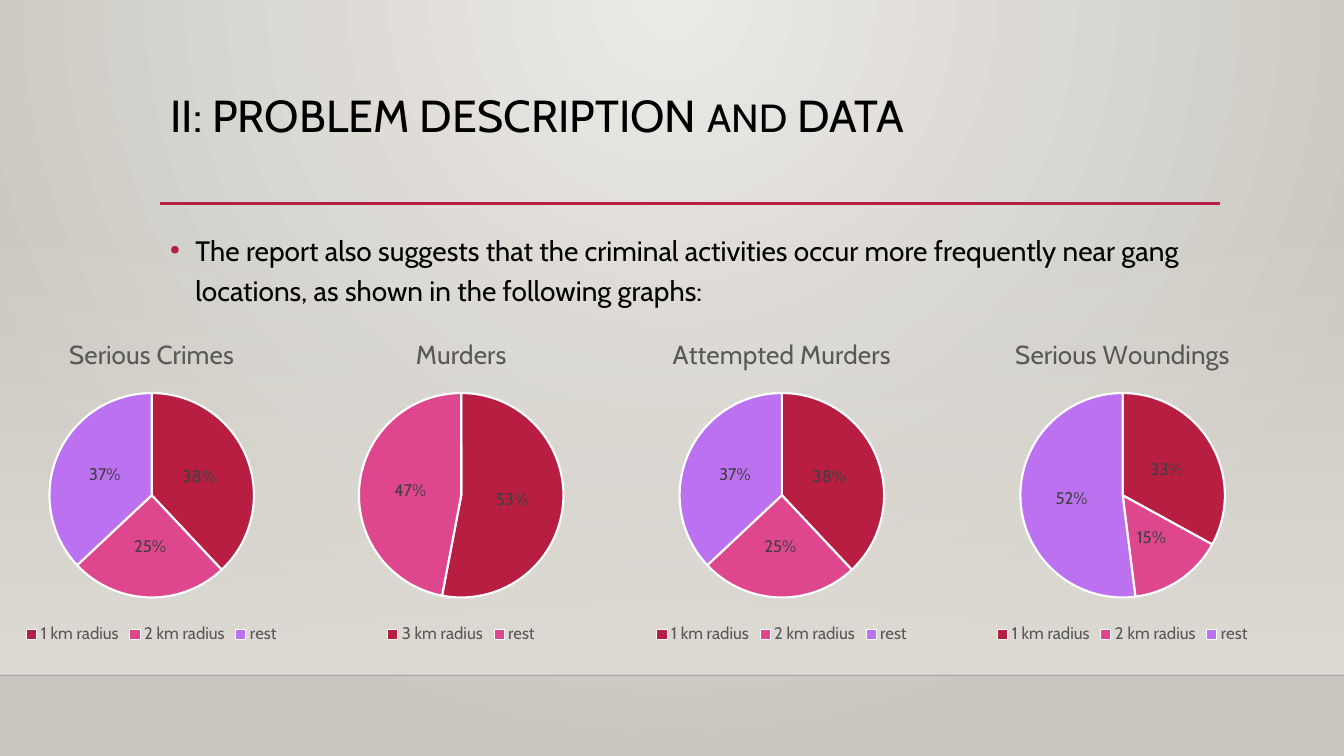
from lxml.etree import SubElement
from pptx import Presentation
from pptx.chart.data import CategoryChartData
from pptx.dml.color import RGBColor
from pptx.enum.chart import XL_CHART_TYPE as ChartType
from pptx.enum.chart import XL_LABEL_POSITION as LabelPosition
from pptx.enum.chart import XL_LEGEND_POSITION as LegendPosition
from pptx.enum.shapes import MSO_CONNECTOR as Connector
from pptx.enum.shapes import MSO_SHAPE as Shape
from pptx.enum.text import MSO_ANCHOR as Anchor
from pptx.oxml import parse_xml
from pptx.oxml.ns import nsdecls, qn
from pptx.util import Inches, Pt

BLACK = RGBColor(0x00, 0x00, 0x00)
WHITE = RGBColor(0xFF, 0xFF, 0xFF)
CRIMSON = RGBColor(0xB7, 0x1E, 0x42)
PINK = RGBColor(0xDE, 0x47, 0x8E)
VIOLET = RGBColor(0xBC, 0x72, 0xF0)
SAND = RGBColor(0xDF, 0xDB, 0xD5)
STONE_LIGHT = RGBColor(0xEC, 0xEA, 0xE7)
STONE_DARK = RGBColor(0xCA, 0xC7, 0xC1)
TITLE_GRAY = RGBColor(0x59, 0x59, 0x59)
LABEL_GRAY = RGBColor(0x40, 0x40, 0x40)

SLIDE_WIDTH, SLIDE_HEIGHT = 13.33, 7.5
MARGIN_LEFT, CONTENT_WIDTH = 1.59, 10.5
FLOOR_TOP = 6.7
CHART_TOP, CHART_WIDTH, CHART_HEIGHT = 3.17, 4.83, 3.26
SLICE_COLORS = (CRIMSON, PINK, VIOLET)
RADII = ("1 km radius", "2 km radius", "rest")
PIES = (
    (-0.91, "Serious Crimes", RADII, (38, 25, 37)),
    (2.16, "Murders", ("3 km radius", "rest"), (53, 47)),
    (5.34, "Attempted Murders", RADII, (38, 25, 37)),
    (8.72, "Serious Woundings", RADII, (33, 15, 52)),
)


class SlideBuilder:
    font_name = "Cabin"

    def __init__(self, slide):
        self.slide = slide

    def set_font(self, font, size, color):
        font.name = self.font_name
        font.size = Pt(size)
        font.color.rgb = color
        font.bold = False

    def set_alpha(self, fill_element, percent):
        color = fill_element.find(".//" + qn("a:srgbClr"))
        SubElement(color, qn("a:alpha")).set("val", str(percent * 1000))

    def radial_background(self, inner, outer):
        background = parse_xml(
            f'<p:bg {nsdecls("p", "a")}><p:bgPr><a:gradFill rotWithShape="1"><a:gsLst>'
            f'<a:gs pos="0"><a:srgbClr val="{inner}"/></a:gs>'
            f'<a:gs pos="100000"><a:srgbClr val="{outer}"/></a:gs></a:gsLst>'
            '<a:path path="circle"><a:fillToRect l="43000" t="0" r="43000" b="100000"/></a:path>'
            "</a:gradFill><a:effectLst/></p:bgPr></p:bg>"
        )
        self.slide.element.cSld.insert(0, background)

    def fading_wall(self, left, top, width, height, color):
        wall = self.slide.shapes.add_shape(
            Shape.RECTANGLE, Inches(left), Inches(top), Inches(width), Inches(height)
        )
        wall.shadow.inherit = False
        wall.line.fill.background()
        wall.fill.gradient()
        wall.fill.gradient_angle = 270
        for stop, position in zip(wall.fill.gradient_stops, (0, 1)):
            stop.color.rgb = color
            stop.position = position
        self.set_alpha(wall.element.spPr.find(qn("a:gradFill")), 0)

    def rule(self, left, right, y, color, width, alpha=100):
        line = self.slide.shapes.add_connector(
            Connector.STRAIGHT, Inches(left), Inches(y), Inches(right), Inches(y)
        )
        line.line.color.rgb = color
        line.line.width = Pt(width)
        properties = line.element.spPr
        if alpha < 100:
            self.set_alpha(properties.find(qn("a:ln")), alpha)
        SubElement(properties, qn("a:effectLst"))

    def text(self, left, top, width, height, parts, line_spacing):
        box = self.slide.shapes.add_textbox(
            Inches(left), Inches(top), Inches(width), Inches(height)
        )
        box.text_frame.word_wrap = True
        box.text_frame.vertical_anchor = Anchor.TOP
        paragraph = box.text_frame.paragraphs[0]
        paragraph.line_spacing = line_spacing
        for content, size in parts:
            run = paragraph.add_run()
            run.text = content
            self.set_font(run.font, size, BLACK)
        return paragraph

    def bullet(self, paragraph, color):
        paragraph.space_before = Pt(10)
        properties = paragraph._p.get_or_add_pPr()
        properties.set("marL", str(Inches(0.25)))
        properties.set("indent", str(-Inches(0.25)))
        bullet_color = SubElement(properties, qn("a:buClr"))
        SubElement(bullet_color, qn("a:srgbClr")).set("val", str(color))
        SubElement(properties, qn("a:buFont")).set("typeface", "Arial")
        SubElement(properties, qn("a:buChar")).set("char", "•")

    def place(self, parent, **fractions):
        layout = parent.find(qn("c:layout"))
        if layout is None:
            layout = parse_xml(f'<c:layout {nsdecls("c")}/>')
            parent.insert(0, layout)
        manual = SubElement(layout, qn("c:manualLayout"))
        SubElement(manual, qn("c:layoutTarget")).set("val", "inner")
        for axis in ("xMode", "yMode"):
            SubElement(manual, qn("c:" + axis)).set("val", "edge")
        for name, fraction in fractions.items():
            SubElement(manual, qn("c:" + name)).set("val", str(fraction))

    def pie(self, left, title, categories, values):
        data = CategoryChartData()
        data.categories = categories
        data.add_series("Series 1", values)
        chart = self.slide.shapes.add_chart(
            ChartType.PIE, Inches(left), Inches(CHART_TOP),
            Inches(CHART_WIDTH), Inches(CHART_HEIGHT), data,
        ).chart
        self.set_font(chart.font, 10, BLACK)

        chart.has_title = True
        heading = chart.chart_title.text_frame
        heading.text = title
        self.set_font(heading.paragraphs[0].font, 18.6, TITLE_GRAY)
        chart.chart_title.include_in_layout = False

        chart.has_legend = True
        chart.legend.position = LegendPosition.BOTTOM
        chart.legend.include_in_layout = False
        self.set_font(chart.legend.font, 12, TITLE_GRAY)

        plot = chart.plots[0]
        plot.vary_by_categories = True
        plot.has_data_labels = True
        labels = plot.data_labels
        labels.show_percentage = True
        labels.show_value = False
        labels.number_format = "0%"
        labels.number_format_is_linked = False
        labels.position = LabelPosition.CENTER
        self.set_font(labels.font, 12, LABEL_GRAY)
        for index, color in zip(range(len(values)), SLICE_COLORS):
            point = plot.series[0].points[index]
            point.format.fill.solid()
            point.format.fill.fore_color.rgb = color
            point.format.line.color.rgb = WHITE
            point.format.line.width = Pt(1.5)
        plot_area = chart.element.find(".//" + qn("c:plotArea"))
        self.place(plot_area, x=0.29, y=0.22, w=0.42, h=0.63)


def main():
    presentation = Presentation()
    presentation.slide_width = Inches(SLIDE_WIDTH)
    presentation.slide_height = Inches(SLIDE_HEIGHT)
    builder = SlideBuilder(presentation.slides.add_slide(presentation.slide_layouts[6]))

    builder.radial_background(STONE_LIGHT, STONE_DARK)
    builder.fading_wall(0, 2.21, SLIDE_WIDTH, FLOOR_TOP - 2.21, SAND)
    builder.rule(0, SLIDE_WIDTH, FLOOR_TOP, BLACK, 1, alpha=20)
    builder.rule(MARGIN_LEFT, 12.1, 2.02, CRIMSON, 2.5)

    title = (("II: PROBLEM DESCRIPTION ", 32), ("AND", 28), (" DATA", 32))
    builder.text(MARGIN_LEFT, 0.88, CONTENT_WIDTH, 1.15, title, 0.9)
    finding = (
        "The report also suggests that the criminal activities occur more frequently "
        "near gang locations, as shown in the following graphs:"
    )
    body = builder.text(MARGIN_LEFT, 2.2, CONTENT_WIDTH, 3.77, ((finding, 20),), 1.2)
    builder.bullet(body, CRIMSON)

    for pie in PIES:
        builder.pie(*pie)
    presentation.save("out.pptx")


if __name__ == "__main__":
    main()
